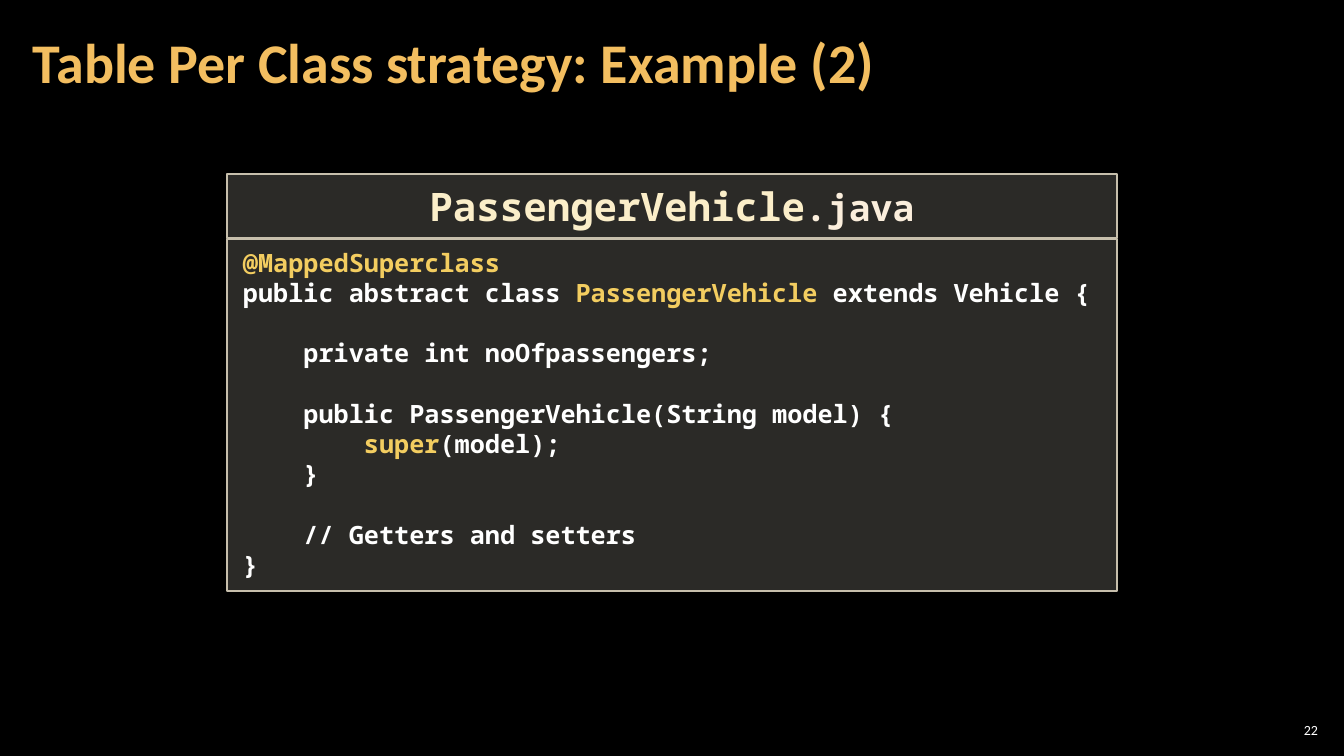
from pptx import Presentation
from pptx.dml.color import RGBColor
from pptx.enum.shapes import MSO_SHAPE as Shape
from pptx.enum.text import MSO_ANCHOR as Anchor, PP_ALIGN as Align
from pptx.oxml.xmlchemy import OxmlElement as Element
from pptx.util import Emu, Pt

SCALE = 914400 / 100.8
BLACK = RGBColor(0x00, 0x00, 0x00)
WHITE = RGBColor(0xFF, 0xFF, 0xFF)
ORANGE = RGBColor(0xF3, 0xBE, 0x60)
GOLD = RGBColor(0xF3, 0xCD, 0x60)
CREAM = RGBColor(0xFB, 0xEE, 0xC9)
PALE = RGBColor(0xFB, 0xEE, 0xDC)
SAND = RGBColor(0xD9, 0xD5, 0xC7)
BORDER = RGBColor(0xC7, 0xBF, 0xAC)
SANS = "Calibri"
MONO = "Noto Sans Mono"

CODE = [
    [("@MappedSuperclass", GOLD)],
    [("public abstract class ", WHITE), ("PassengerVehicle", GOLD),
     (" extends Vehicle {", WHITE)],
    [],
    [("    private int noOfpassengers;", WHITE)],
    [],
    [("    public PassengerVehicle(String model) {", WHITE)],
    [("        ", WHITE), ("super", GOLD), ("(model);", WHITE)],
    [("    }", WHITE)],
    [],
    [("    // Getters and setters", WHITE)],
    [("}", WHITE)],
]


def px(value):
    return Emu(round(value * SCALE))


def set_frame(frame, side, top, anchor):
    frame.word_wrap = True
    frame.margin_left = frame.margin_right = px(side)
    frame.margin_top = frame.margin_bottom = px(top)
    frame.vertical_anchor = anchor


def set_font(font, name, size, bold):
    font.name, font.size, font.bold = name, Pt(size), bold


def add_run(para, text, color):
    run = para.add_run()
    run.text = text
    run.font.color.rgb = color
    return run


def add_label(slide, box, text, size, color, bold, align, side):
    frame = slide.shapes.add_textbox(*map(px, box)).text_frame
    set_frame(frame, side, 4, Anchor.MIDDLE)
    para = frame.paragraphs[0]
    para.alignment = align
    para.line_spacing = 0.9
    set_font(para.font, SANS, size, bold)
    add_run(para, text, color)


def add_panel(slide, top, height, lines, size, align):
    panel = slide.shapes.add_shape(
        Shape.RECTANGLE, *map(px, (227, top, 890, height)))
    panel.shadow.inherit = False
    panel.fill.solid()
    panel.fill.fore_color.rgb = SAND
    alpha = Element("a:alpha")
    alpha.set("val", "20000")
    panel.fill._xPr.solidFill[0].append(alpha)
    panel.line.color.rgb = BORDER
    panel.line.width = Pt(1)
    frame = panel.text_frame
    set_frame(frame, 16, 8, Anchor.TOP)
    for index, line in enumerate(lines):
        para = frame.add_paragraph() if index else frame.paragraphs[0]
        para.alignment = align
        para.line_spacing = Pt(size * 1.2)
        set_font(para.font, MONO, size, True)
        for text, color in line:
            add_run(para, text, color)
    return panel


def main():
    deck = Presentation()
    deck.slide_width, deck.slide_height = px(1344), px(756)
    slide = deck.slides.add_slide(deck.slide_layouts[6])
    slide.background.fill.solid()
    slide.background.fill.fore_color.rgb = BLACK

    add_label(slide, (1275, 720, 47, 21), "22", 10, WHITE, False,
              Align.RIGHT, 4)
    add_label(slide, (21, 4, 1055, 122),
              "Table Per Class strategy: Example (2)", 40, ORANGE, True,
              Align.LEFT, 12)
    add_panel(slide, 239, 352, CODE, 18, Align.LEFT)
    header = add_panel(
        slide, 174, 64, [[("PassengerVehicle", CREAM), (".java", PALE)]],
        28, Align.CENTER)
    header.text_frame.paragraphs[0].runs[1].font.size = Pt(26)
    deck.save("out.pptx")


if __name__ == "__main__":
    main()
